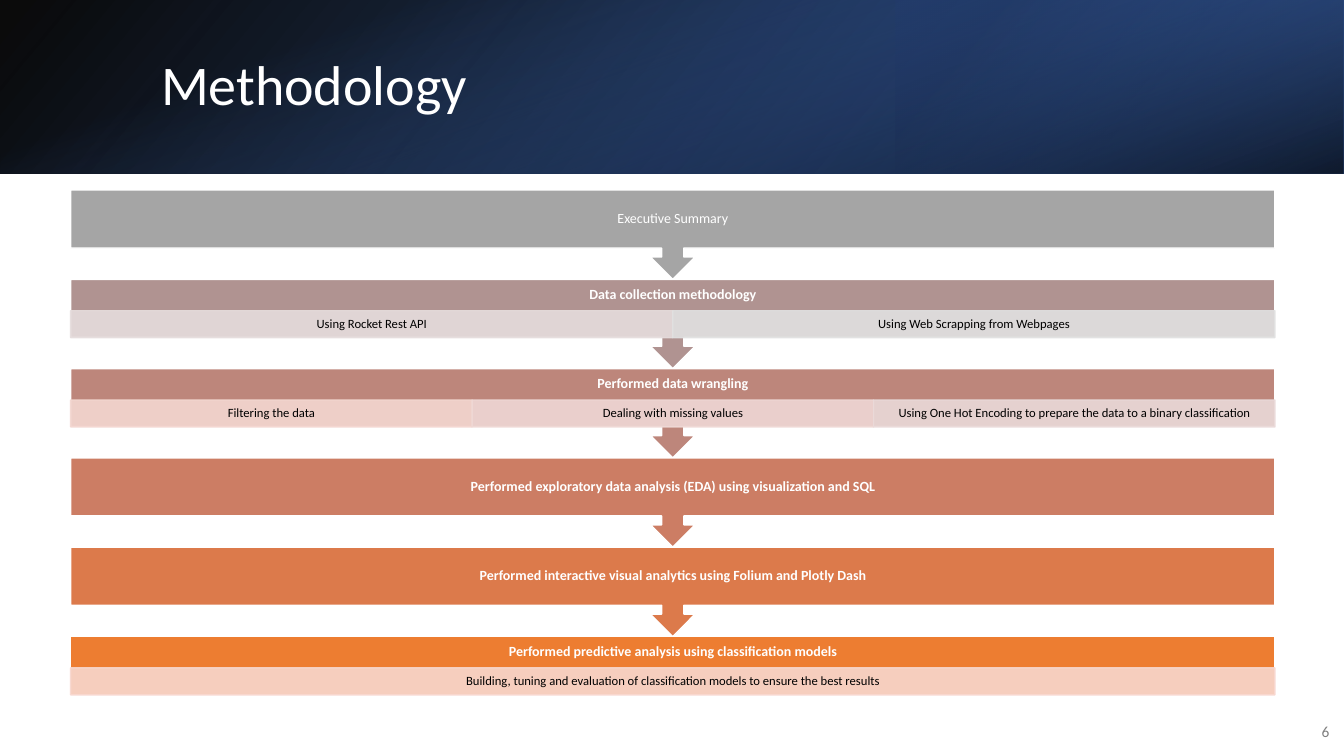
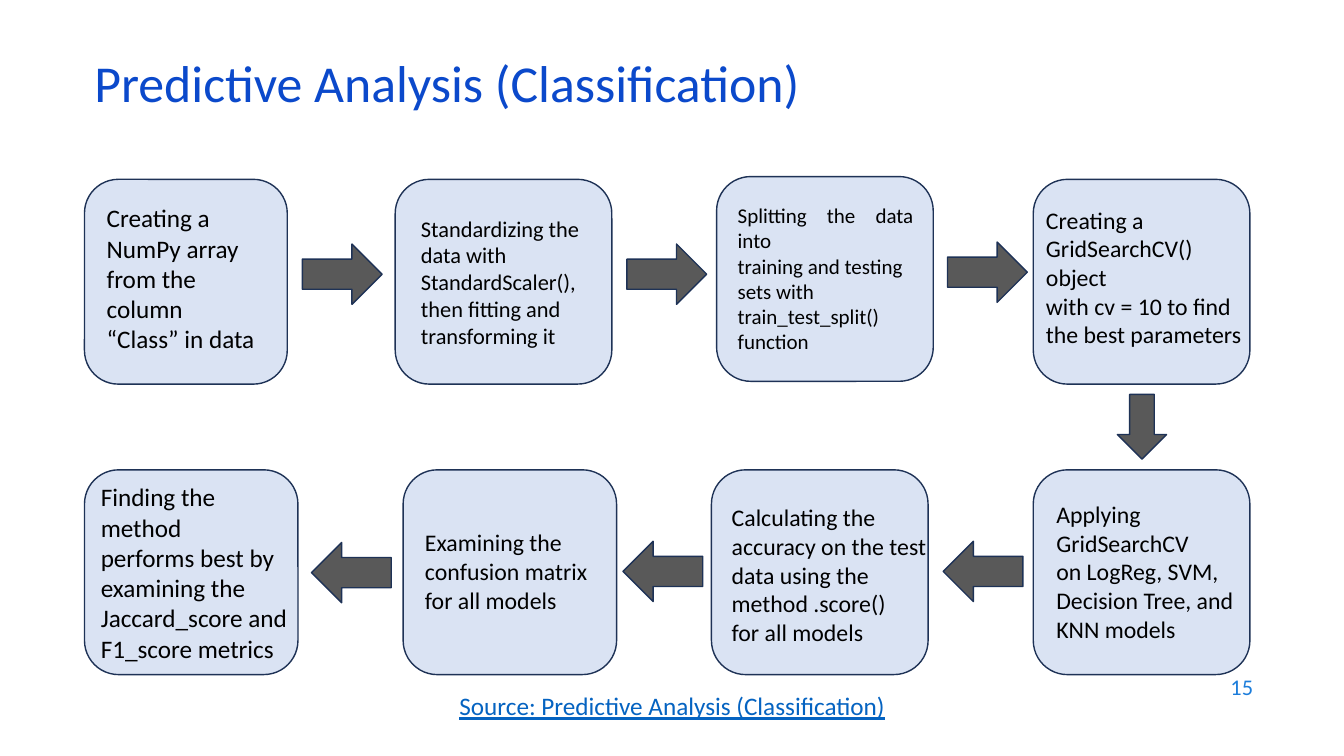
"""Build a methodology flow and a predictive analysis flow as two slides."""
from lxml import etree
from pptx import Presentation
from pptx.dml.color import RGBColor
from pptx.enum.shapes import MSO_SHAPE
from pptx.enum.text import MSO_ANCHOR, PP_ALIGN
from pptx.oxml.ns import qn
from pptx.util import Cm, Pt

RECTANGLE, ROUNDED = MSO_SHAPE.RECTANGLE, MSO_SHAPE.ROUNDED_RECTANGLE
CALLOUT = MSO_SHAPE.DOWN_ARROW_CALLOUT
RIGHT_ARROW, LEFT_ARROW, DOWN_ARROW = (
    MSO_SHAPE.RIGHT_ARROW, MSO_SHAPE.LEFT_ARROW, MSO_SHAPE.DOWN_ARROW)
TOP, MIDDLE = MSO_ANCHOR.TOP, MSO_ANCHOR.MIDDLE
LEFT, CENTER, RIGHT, JUSTIFY = (
    PP_ALIGN.LEFT, PP_ALIGN.CENTER, PP_ALIGN.RIGHT, PP_ALIGN.JUSTIFY)

FONT = "Calibri"
WHITE, BLACK = "FFFFFF", "000000"
CARD_FILL, ARROW_FILL, OUTLINE = "DAE3F3", "595959", "1E3256"
PAGE_WIDTH, PAGE_HEIGHT = 33.87, 19.05

BANNER_HEIGHT = 4.37
BANNER_LAYERS = [
    {"place": (0, 0, PAGE_WIDTH, BANNER_HEIGHT), "rotation": 0, "flip": True,
     "angle": 140, "stops": [(0, "000000", 96), (1, "2F5597", 100)]},
    {"place": (22.58, 0, 11.29, BANNER_HEIGHT), "rotation": 180, "flip": True,
     "angle": 320, "stops": [(0.19, "203864", 68), (1, "4472C4", 79)]},
    {"place": ((PAGE_WIDTH - BANNER_HEIGHT) / 2, (BANNER_HEIGHT - PAGE_WIDTH) / 2,
               BANNER_HEIGHT, PAGE_WIDTH), "rotation": 90, "flip": False,
     "angle": 340, "stops": [(0.23, "4472C4", 0), (0.99, "000000", 74)]},
]

STAGES = [
    ("Executive Summary", "A5A5A5", []),
    ("Data collection methodology", "B09391",
     [("Using Rocket Rest API", "E6DDDD"),
      ("Using Web Scrapping from Webpages", "E1E1E1")]),
    ("Performed data wrangling", "BD867B",
     [("Filtering the data", "F4D7D1"),
      ("Dealing with missing values", "EFD8D5"),
      ("Using One Hot Encoding to prepare the data to a binary classification",
       "EADAD9")]),
    ("Performed exploratory data analysis (EDA) using visualization and SQL",
     "CC7D64", []),
    ("Performed interactive visual analytics using Folium and Plotly Dash",
     "DC7A4B", []),
    ("Performed predictive analysis using classification models", "ED7D31",
     [("Building, tuning and evaluation of classification models to ensure "
       "the best results", "F8D7CE")]),
]
STAGE_LEFT, STAGE_TOP, STAGE_WIDTH, STAGE_PITCH = 1.78, 4.79, 30.35, 2.25
BODY_HEIGHT, HEAD_HEIGHT, DETAIL_HEIGHT = 1.47, 0.79, 0.68

CARD_HEIGHT = 5.16
CARDS = [
    ((2.13, 4.52, 5.11), (2.44, 4.98, 4.34), 18,
     ["Creating a NumPy array from the column “Class” in data"]),
    ((9.96, 4.52, 5.46), (10.36, 5.28, 5.13), 16,
     ["Standardizing the data with StandardScaler(), then fitting and "
      "transforming it"]),
    ((18.06, 4.45, 5.46), (18.34, 4.98, 4.93), 15,
     ["Splitting the data into", "training and testing", "sets with",
      "train_test_split()", "function"]),
    ((26.04, 4.52, 5.46), (26.11, 5.05, 5.46), 17,
     ["Creating a", "GridSearchCV() object", "with cv = 10 to find",
      "the best parameters"]),
    ((26.04, 11.84, 5.46), (26.37, 12.47, 4.98), 17,
     ["Applying", "GridSearchCV", "on LogReg, SVM,", "Decision Tree, and",
      "KNN models"]),
    ((17.93, 11.84, 5.46), (18.19, 12.55, 5.44), 17,
     ["Calculating the", "accuracy on the test", "data using the",
      "method .score()", "for all models"]),
    ((10.16, 11.84, 5.38), (10.46, 13.18, 5.13), 17,
     ["Examining the", "confusion matrix", "for all models"]),
    ((2.13, 11.84, 5.38), (2.29, 12.01, 5.36), 18,
     ["Finding the method", "performs best by", "examining the",
      "Jaccard_score and", "F1_score metrics"]),
]
JUSTIFIED_CARD = 2
ARROW_SIZE = (2.01, 1.52)
ARROWS = [
    (RIGHT_ARROW, (7.62, 6.15, *ARROW_SIZE)),
    (RIGHT_ARROW, (15.8, 6.15, *ARROW_SIZE)),
    (RIGHT_ARROW, (23.88, 6.1, *ARROW_SIZE)),
    (DOWN_ARROW, (28.16, 9.94, 1.24, 1.63)),
    (LEFT_ARROW, (23.77, 13.64, *ARROW_SIZE)),
    (LEFT_ARROW, (15.7, 13.64, *ARROW_SIZE)),
    (LEFT_ARROW, (7.85, 13.67, *ARROW_SIZE)),
]


def color(value):
    """Turn a hex string into a colour."""
    return RGBColor.from_string(value)


def lengths(place):
    """Turn centimetre numbers into lengths."""
    return [Cm(value) for value in place]


def set_alpha(element, percent):
    """Make one colour element partly transparent."""
    etree.SubElement(element, qn("a:alpha")).set("val", str(percent * 1000))


def add_shape(page, kind, place, fill=None, line=None):
    """Add a preset shape with a plain fill and outline."""
    shape = page.shapes.add_shape(kind, *lengths(place))
    shape.shadow.inherit = False
    if fill:
        shape.fill.solid()
        shape.fill.fore_color.rgb = color(fill)
    if line:
        shape.line.color.rgb = color(line)
        shape.line.width = Pt(1)
    else:
        shape.line.fill.background()
    return shape


def write_text(shape, lines, size, ink, aligns=(LEFT,), spacing=None,
               anchor=MIDDLE, insets=(0.25, 0.13, 0.25, 0.13), **font):
    """Write paragraphs; the last alignment serves all remaining lines."""
    frame = shape.text_frame
    left, top, right, bottom = lengths(insets)
    layout = {"word_wrap": True, "vertical_anchor": anchor, "margin_left": left,
              "margin_top": top, "margin_right": right, "margin_bottom": bottom}
    for name, value in layout.items():
        setattr(frame, name, value)
    for index, line in enumerate(lines):
        para = frame.add_paragraph() if index else frame.paragraphs[0]
        para.alignment = aligns[min(index, len(aligns) - 1)]
        para.line_spacing = spacing
        span = para.add_run()
        span.text = line
        span.font.color.rgb = color(ink)
        for name, value in {"name": FONT, "size": Pt(size), **font}.items():
            setattr(span.font, name, value)


def add_text(page, place, lines, size, ink, **options):
    """Add a text box."""
    box = page.shapes.add_textbox(*lengths(place))
    write_text(box, lines, size, ink, **options)


def add_banner(page):
    """Stack the gradient layers behind the title."""
    for layer in BANNER_LAYERS:
        shape = add_shape(page, RECTANGLE, layer["place"])
        shape.rotation = layer["rotation"]
        properties = shape.element.spPr
        if layer["flip"]:
            properties.xfrm.set("flipH", "1")
        shape.fill.gradient()
        shape.fill.gradient_angle = 360 - layer["angle"]
        for stop, (position, tint, _) in zip(shape.fill.gradient_stops, layer["stops"]):
            stop.position = position
            stop.color.rgb = color(tint)
        tints = list(properties.iter(qn("a:srgbClr")))
        for element, (_, _, opacity) in zip(tints, layer["stops"]):
            set_alpha(element, opacity)


def add_stage(page, index, heading, fill, details):
    """Add one stage bar, its arrow to the next stage and its detail cells."""
    top = STAGE_TOP + index * STAGE_PITCH
    last = index == len(STAGES) - 1
    kind, height = (RECTANGLE, BODY_HEIGHT) if last else (CALLOUT, STAGE_PITCH)
    bar = add_shape(page, kind, (STAGE_LEFT, top, STAGE_WIDTH, height), fill, WHITE)
    below = DETAIL_HEIGHT if details else 0
    write_text(bar, [heading], 10, WHITE, aligns=(CENTER,), spacing=0.9,
               insets=(0.2, 0.05, 0.2, 0.05 + below), bold=index > 0)
    width = STAGE_WIDTH / max(len(details), 1)
    for column, (label, tint) in enumerate(details):
        place = (STAGE_LEFT + column * width, top + HEAD_HEIGHT, width, DETAIL_HEIGHT)
        cell = add_shape(page, RECTANGLE, place, tint, tint)
        for element in list(cell.element.spPr.iter(qn("a:srgbClr"))):
            set_alpha(element, 90)
        write_text(cell, [label], 9, BLACK, aligns=(CENTER,), spacing=0.9,
                   insets=(0.18, 0.03, 0.18, 0.03))


def build_methodology(page):
    """Build the slide of stacked stages."""
    add_banner(page)
    add_text(page, (3.81, 0.97, 27.89, 2.44), ["Methodology"], 40, WHITE, spacing=0.9)
    add_text(page, (32.51, 17.93, 1.24, 1.02), ["6"], 11, "808080", aligns=(RIGHT,))
    for index, stage in enumerate(STAGES):
        add_stage(page, index, *stage)


def build_prediction(page):
    """Build the slide of cards joined by block arrows."""
    add_text(page, (24.21, 16.74, 7.62, 1.12), ["15"], 16, "1C7DDB", aligns=(RIGHT,))
    add_text(page, (2.13, 1.5, 29.21, 1.52), ["Predictive Analysis (Classification)"],
             37, "0B49CB", spacing=0.7)
    for index, (card, text, size, lines) in enumerate(CARDS):
        add_shape(page, ROUNDED, (*card, CARD_HEIGHT), CARD_FILL, OUTLINE)
        aligns = (JUSTIFY,) * 4 + (LEFT,) if index == JUSTIFIED_CARD else (LEFT,)
        height = card[1] + CARD_HEIGHT - text[1]
        add_text(page, (*text, height), lines, size, BLACK, aligns=aligns, anchor=TOP)
    for kind, place in ARROWS:
        add_shape(page, kind, place, ARROW_FILL, OUTLINE)
    add_text(page, (10.82, 17.27, 12.24, 1.02),
             ["Source: Predictive Analysis (Classification)"], 18, "0563C1",
             aligns=(CENTER,), anchor=TOP, underline=True)


def main():
    """Create and save the deck."""
    deck = Presentation()
    deck.slide_width, deck.slide_height = lengths((PAGE_WIDTH, PAGE_HEIGHT))
    for build in (build_methodology, build_prediction):
        build(deck.slides.add_slide(deck.slide_layouts[6]))
    deck.save("out.pptx")


if __name__ == "__main__":
    main()
